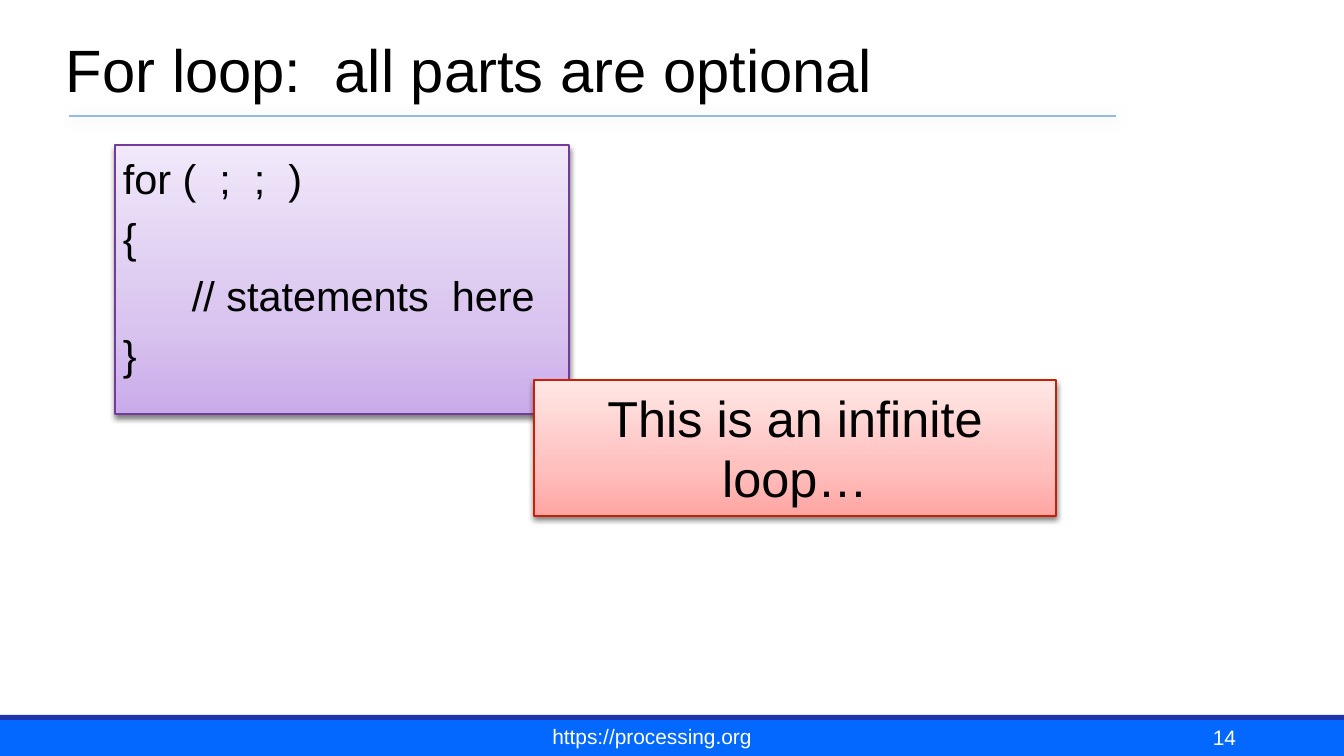
import dataclasses

import pptx
import pptx.dml.color
import pptx.enum.shapes
import pptx.enum.text
import pptx.oxml.ns
import pptx.util
from lxml import etree

qn = pptx.oxml.ns.qn
ALIGN = pptx.enum.text.PP_ALIGN
ANCHOR = pptx.enum.text.MSO_ANCHOR
WIDTH, HEIGHT = 1344, 756
EMU_PER_PX = 9144000 / WIDTH


@dataclasses.dataclass(frozen=True)
class Theme:
    font: str = "Arial"
    ink: str = "000000"
    paper: str = "FFFFFF"
    band: str = "0368FF"
    stripe: str = "1F33AB"
    rule: str = "94BBE7"
    purple: tuple = ((0, "CAABEA"), (35, "D9C5EF"), (100, "F1E8FA"))
    purple_edge: str = "753B9A"
    red: tuple = ((0, "FFA5A3"), (35, "FFC0BE"), (100, "FFE7E6"))
    red_edge: str = "C82101"
    # colour, opacity %, blur pt, distance pt, angle
    box_shadow: tuple = ("000000", 50, 3, 2, 90)
    rule_shadow: tuple = ("003D62", 20, 8, 1, 45)
    title_size: float = 32
    code_size: float = 22.2
    callout_size: float = 27
    footer_size: float = 11.2


def px(length):
    return pptx.util.Emu(round(length * EMU_PER_PX))


def rgb(color):
    return pptx.dml.color.RGBColor.from_string(color)


class SlideBuilder:
    def __init__(self, page, theme):
        self.page = page
        self.theme = theme

    def place(self, shape, at):
        shape.left, shape.top, shape.width, shape.height = map(px, at)

    def shadow(self, shape, color, opacity, blur, distance, angle):
        properties = shape.element.spPr
        for old in properties.findall(qn("a:effectLst")):
            properties.remove(old)
        effects = etree.SubElement(properties, qn("a:effectLst"))
        outer = etree.SubElement(
            effects, qn("a:outerShdw"), blurRad=str(pptx.util.Pt(blur)),
            dist=str(pptx.util.Pt(distance)), dir=str(angle * 60000),
            algn="ctr", rotWithShape="0")
        shade = etree.SubElement(outer, qn("a:srgbClr"), val=color)
        etree.SubElement(shade, qn("a:alpha"), val=str(opacity * 1000))

    def gradient_box(self, shape, stops, edge, weight):
        """Fill from bottom to top, with an edge and a drop shadow."""
        shape.fill.gradient()
        shape.fill.gradient_angle = 90
        stop_list = shape.element.spPr.find(".//" + qn("a:gsLst"))
        for old in list(stop_list):
            stop_list.remove(old)
        for position, color in stops:
            stop = etree.SubElement(stop_list, qn("a:gs"), pos=str(position * 1000))
            etree.SubElement(stop, qn("a:srgbClr"), val=color)
        shape.line.color.rgb = rgb(edge)
        shape.line.width = pptx.util.Pt(weight)
        self.shadow(shape, *self.theme.box_shadow)

    def frame(self, shape, anchor, insets):
        box = shape.text_frame
        box.word_wrap = True
        box.auto_size = pptx.enum.text.MSO_AUTO_SIZE.NONE
        box.vertical_anchor = anchor
        box.margin_left = box.margin_right = px(insets[0])
        box.margin_top = box.margin_bottom = px(insets[1])
        return box

    def add_text(self, para, text, size, color, align=ALIGN.LEFT):
        para.alignment = align
        span = para.add_run()
        span.text = text
        span.font.name = self.theme.font
        span.font.size = pptx.util.Pt(size)
        span.font.color.rgb = rgb(color)

    def band(self, at, color):
        shape = self.page.shapes.add_shape(
            pptx.enum.shapes.MSO_SHAPE.RECTANGLE, *map(px, at))
        shape.shadow.inherit = False
        shape.fill.solid()
        shape.fill.fore_color.rgb = rgb(color)
        shape.line.fill.background()

    def rule(self, left, right, y):
        line = self.page.shapes.add_connector(
            pptx.enum.shapes.MSO_CONNECTOR.STRAIGHT, px(left), px(y), px(right), px(y))
        line.line.color.rgb = rgb(self.theme.rule)
        line.line.width = pptx.util.Pt(1)
        self.shadow(line, *self.theme.rule_shadow)

    def title(self, at, text):
        shape = self.page.shapes.title
        self.place(shape, at)
        box = self.frame(shape, ANCHOR.BOTTOM, (8, 8))
        self.add_text(box.paragraphs[0], text, self.theme.title_size, self.theme.ink)

    def code(self, at, lines):
        """Fill the body placeholder with (indent, text) lines."""
        shape = self.page.placeholders[1]
        self.place(shape, at)
        self.gradient_box(shape, self.theme.purple, self.theme.purple_edge, 1)
        box = self.frame(shape, ANCHOR.TOP, (8, 8))
        for number, (indent, text) in enumerate(lines):
            para = box.add_paragraph() if number else box.paragraphs[0]
            self.add_text(para, text, self.theme.code_size, self.theme.ink)
            para.space_before = pptx.util.Pt(4.8)
            properties = para._p.get_or_add_pPr()
            properties.set("marL", str(px(indent)))
            properties.set("indent", "0")
            etree.SubElement(properties, qn("a:buNone"))

    def callout(self, at, text):
        shape = self.page.shapes.add_shape(
            pptx.enum.shapes.MSO_SHAPE.RECTANGLE, *map(px, at))
        self.gradient_box(shape, self.theme.red, self.theme.red_edge, 0.75)
        box = self.frame(shape, ANCHOR.TOP, (13, 7))
        self.add_text(box.paragraphs[0], text, self.theme.callout_size,
                      self.theme.ink, ALIGN.CENTER)

    def footer(self, at, text, align, insets):
        shape = self.page.shapes.add_textbox(*map(px, at))
        box = self.frame(shape, ANCHOR.BOTTOM, insets)
        self.add_text(box.paragraphs[0], text, self.theme.footer_size,
                      self.theme.paper, align)


def main():
    deck = pptx.Presentation()
    deck.slide_width, deck.slide_height = px(WIDTH), px(HEIGHT)
    theme = Theme()
    builder = SlideBuilder(deck.slides.add_slide(deck.slide_layouts[1]), theme)

    builder.band((0, 720, WIDTH, 36), theme.band)
    builder.band((0, 715, WIDTH, 5), theme.stripe)
    builder.rule(69, 1116, 116)
    builder.title((58, 0, 1142, 112), "For loop:  all parts are optional")
    builder.code((115, 145, 454, 269), [
        (0, "for (  ;  ;  )"),
        (0, "{"),
        (69, "// statements  here"),
        (0, "}"),
    ])
    builder.callout((534, 380, 522, 136), "This is an infinite loop…")
    builder.footer((473, 719, 358, 35), "https://processing.org", ALIGN.CENTER, (11, 5))
    builder.footer((964, 716, 280, 42), "14", ALIGN.RIGHT, (8, 8))
    deck.save("out.pptx")


if __name__ == "__main__":
    main()
